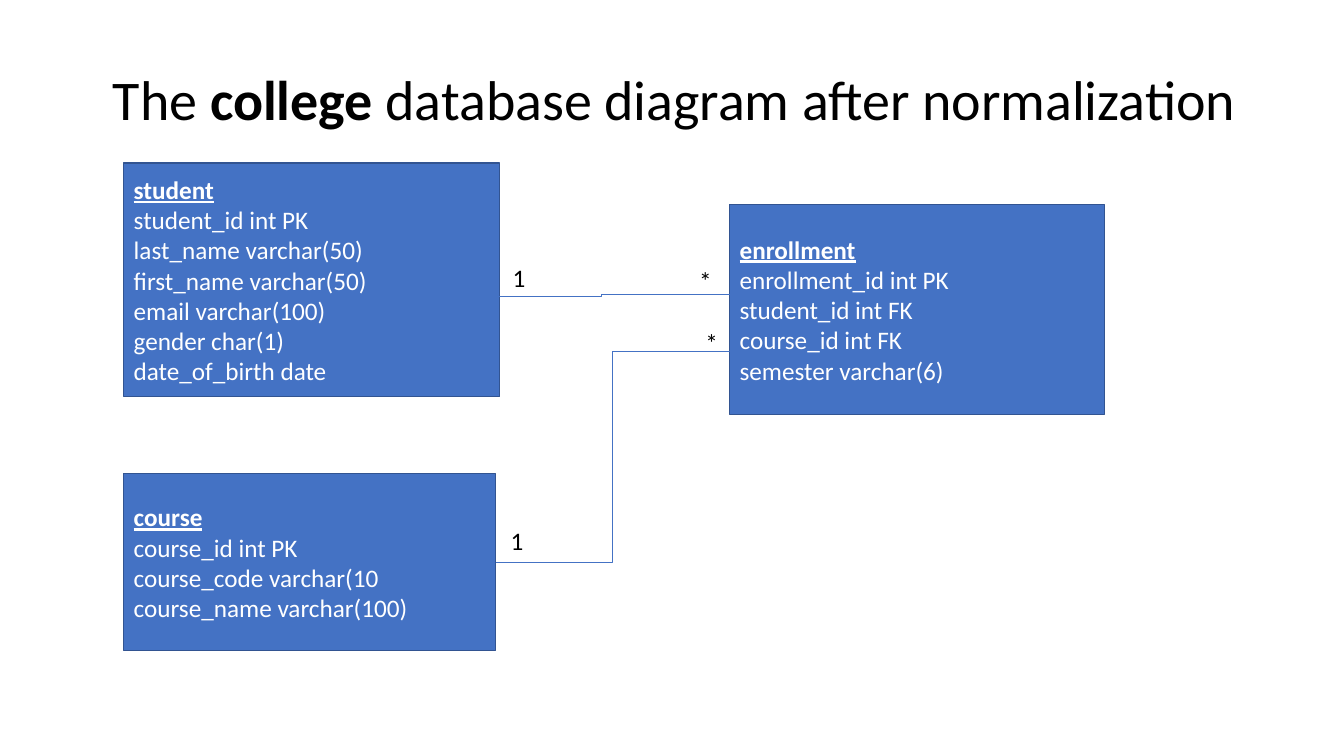
from dataclasses import dataclass

from lxml import etree
from pptx import Presentation
from pptx import util as u
from pptx.dml.color import RGBColor
from pptx.enum import shapes, text


@dataclass(frozen=True)
class Theme:
    """Hold the colours, font and sizes of the slide."""
    font: str = "Calibri"
    ink: RGBColor = RGBColor(0, 0, 0)
    paper: RGBColor = RGBColor(255, 255, 255)
    fill: RGBColor = RGBColor(0x44, 0x72, 0xC4)
    edge: RGBColor = RGBColor(0x32, 0x54, 0x91)
    title: int = 40
    body: int = 18
    border: float = 1
    link: float = 0.5


@dataclass(frozen=True)
class Box:
    """Describe an area in centimetres."""
    left: float
    top: float
    width: float
    height: float

    @property
    def right(self):
        """Give the right edge."""
        return self.left + self.width

    def lengths(self):
        """Give the place and size as lengths."""
        return [u.Cm(n) for n in (self.left, self.top, self.width, self.height)]


THEME = Theme()


def add_span(para, words, size, color, bold=False, underline=False):
    """Add one styled run to a paragraph."""
    span = para.add_run()
    span.text = words
    font = span.font
    font.name, font.size, font.bold, font.underline = THEME.font, u.Pt(size), bold, underline
    font.color.rgb = color


def add_panel(page, box, fill, anchor):
    """Add a plain filled rectangle ready for left-aligned text."""
    panel = page.shapes.add_shape(shapes.MSO_SHAPE.RECTANGLE, *box.lengths())
    panel.shadow.inherit = False
    panel.fill.solid()
    panel.fill.fore_color.rgb = fill
    panel.line.fill.background()
    panel.text_frame.word_wrap = True
    panel.text_frame.vertical_anchor = anchor
    panel.text_frame.paragraphs[0].alignment = text.PP_ALIGN.LEFT
    return panel


def add_title(page, box, spans):
    """Add the centred heading from pairs of words and boldness."""
    frame = page.shapes.add_textbox(*box.lengths()).text_frame
    frame.word_wrap = True
    frame.vertical_anchor = text.MSO_ANCHOR.BOTTOM
    para = frame.paragraphs[0]
    para.alignment = text.PP_ALIGN.CENTER
    para.line_spacing = 0.9
    for words, bold in spans:
        add_span(para, words, THEME.title, THEME.ink, bold)


def add_entity(page, box, name, columns):
    """Add a database table with its name and columns."""
    panel = add_panel(page, box, THEME.fill, text.MSO_ANCHOR.MIDDLE)
    panel.line.color.rgb = THEME.edge
    panel.line.width = u.Pt(THEME.border)
    frame = panel.text_frame
    add_span(frame.paragraphs[0], name, THEME.body, THEME.paper, True, True)
    for column in columns:
        para = frame.add_paragraph()
        para.alignment = text.PP_ALIGN.LEFT
        add_span(para, column, THEME.body, THEME.paper)


def add_link(page, start, end):
    """Add an elbow connector between two points."""
    points = [u.Cm(n) for n in (*start, *end)]
    link = page.shapes.add_connector(shapes.MSO_CONNECTOR.ELBOW, *points)
    link.line.color.rgb = THEME.fill
    link.line.width = u.Pt(THEME.link)
    namespace = "http://schemas.openxmlformats.org/drawingml/2006/main"
    etree.SubElement(link._element.spPr, f"{{{namespace}}}effectLst")


def add_cardinality(page, box, mark):
    """Add the mark that counts rows at one end of a link."""
    panel = add_panel(page, box, THEME.paper, text.MSO_ANCHOR.TOP)
    add_span(panel.text_frame.paragraphs[0], mark, THEME.body, THEME.ink)


def add_diagram(page, box):
    """Place the tables, links and cardinalities inside the box."""
    student = Box(box.left, box.top, 9.47, 5.89)
    course = Box(box.left, box.top + 7.83, 9.37, 4.45)
    enrollment = Box(box.right - 9.45, box.top + 1.05, 9.45, 5.28)

    add_entity(page, student, "student", [
        "student_id int PK", "last_name varchar(50)", "first_name varchar(50)",
        "email varchar(100)", "gender char(1)", "date_of_birth date"])
    add_entity(page, course, "course", [
        "course_id int PK", "course_code varchar(10", "course_name varchar(100)"])
    add_entity(page, enrollment, "enrollment", [
        "enrollment_id int PK", "student_id int FK", "course_id int FK",
        "semester varchar(6)"])

    student_y = box.top + 3.35
    course_y = course.top + course.height / 2
    enrollment_y = box.top + 4.75
    add_link(page, (student.right - 0.65, student_y), (enrollment.left, student_y - 0.03))
    add_link(page, (course.right, course_y), (enrollment.left, enrollment_y))

    for left, top, height, mark in (
            (student.right + 0.08, student_y - 0.98, 0.76, "1"),
            (enrollment.left - 1.02, student_y - 0.91, 0.76, "*"),
            (enrollment.left - 0.86, enrollment_y - 0.73, 0.61, "*"),
            (course.right + 0.13, course_y - 1.04, 0.76, "1")):
        add_cardinality(page, Box(left, top, 0.74, height), mark)


def main():
    """Build and save the slide."""
    deck = Presentation()
    deck.slide_width, deck.slide_height = u.Cm(33.87), u.Cm(19.05)
    page = deck.slides.add_slide(deck.slide_layouts[6])
    add_title(page, Box(2.34, 1.02, 29.31, 2.44), [
        ("The ", False), ("college", True),
        (" database diagram after normalization", False)])
    add_diagram(page, Box(3.12, 4.11, 24.72, 12.28))
    deck.save("out.pptx")


if __name__ == "__main__":
    main()
